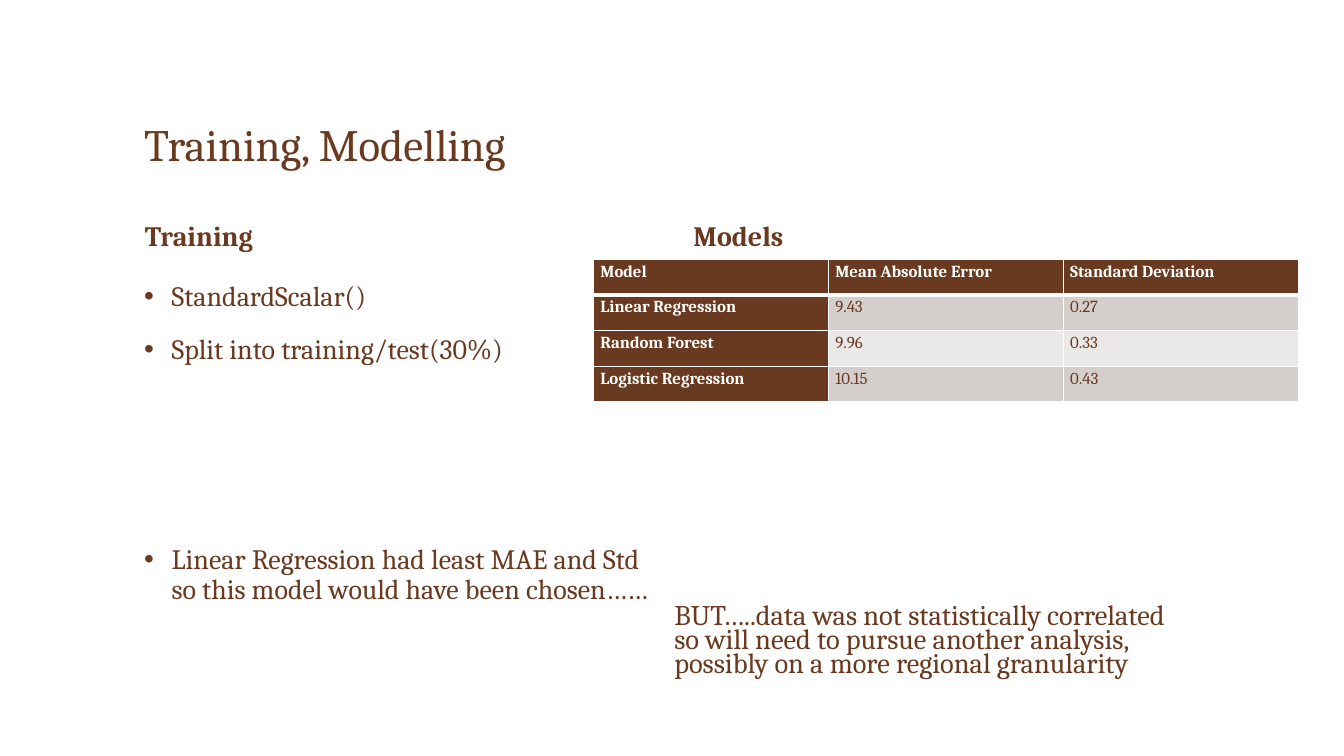
from dataclasses import dataclass

from lxml import etree
from pptx import Presentation
from pptx.dml.color import RGBColor
from pptx.enum.text import MSO_ANCHOR, MSO_AUTO_SIZE, PP_ALIGN
from pptx.oxml.ns import qn
from pptx.slide import Slide
from pptx.table import _Cell
from pptx.text.text import _Paragraph
from pptx.util import Cm, Pt

TOP, MIDDLE, BOTTOM = MSO_ANCHOR.TOP, MSO_ANCHOR.MIDDLE, MSO_ANCHOR.BOTTOM
NO_AUTOFIT = MSO_AUTO_SIZE.NONE
LEFT = PP_ALIGN.LEFT

BROWN = RGBColor(0x6A, 0x3A, 0x20)
WHITE = RGBColor(0xFF, 0xFF, 0xFF)
DARK_BAND = RGBColor(0xD4, 0xCE, 0xCD)
LIGHT_BAND = RGBColor(0xEB, 0xE8, 0xE8)

FONT = "Cambria"
COMPARISON_LAYOUT = 4
BULLET_INDENT = Cm(0.69)
COLUMN_WIDTH = 13.26
TABLE_COLUMN_WIDTH = Cm(5.92)
TABLE_ROW_HEIGHT = Cm(0.9)
CELL_MARGIN = Cm(0.17)


@dataclass(frozen=True)
class Line:
    text: str
    space_before: float = 0


@dataclass(frozen=True)
class Block:
    placeholder: int
    left: float
    top: float
    width: float
    height: float
    lines: tuple[Line, ...]
    size: float = 20
    bold: bool = False
    anchor: MSO_ANCHOR = TOP
    line_spacing: float = 0.9
    bulleted: bool = False


BLOCKS = (
    Block(0, 3.38, 1.19, 27.08, 3.25, (Line("Training, Modelling"),),
          size=32, anchor=BOTTOM),
    Block(1, 3.4, 5, COLUMN_WIDTH, 1.98, (Line("Training"),),
          bold=True, anchor=MIDDLE),
    Block(2, 3.38, 6.99, COLUMN_WIDTH, 9.88, (
        Line("StandardScalar()", 16),
        Line("Split into training/test(30%)", 16),
        Line("Linear Regression had least MAE and Std so this model "
             "would have been chosen……", 128.5),
    ), bulleted=True),
    Block(3, 17.22, 5, COLUMN_WIDTH, 1.98, (Line("Models"),),
          bold=True, anchor=MIDDLE),
    Block(4, 16.74, 15.16, COLUMN_WIDTH, 2.69, (
        Line("BUT…..data was not statistically correlated so will need to pursue "
             "another analysis, possibly on a more regional granularity", 16),
    ), size=20.3, line_spacing=0.7),
)

MODEL_ROWS = (
    ("Model", "Mean Absolute Error", "Standard Deviation"),
    ("Linear Regression", "9.43", "0.27"),
    ("Random Forest", "9.96", "0.33"),
    ("Logistic Regression", "10.15", "0.43"),
)


def format_font(paragraph: _Paragraph, size: float, color: RGBColor, bold: bool) -> None:
    """Set the font of a whole paragraph."""
    font = paragraph.font
    font.name = FONT
    font.size = Pt(size)
    font.bold = bold
    font.color.rgb = color


def set_bullet(paragraph: _Paragraph, bulleted: bool) -> None:
    """Give the paragraph a hanging bullet, or none."""
    properties = paragraph._p.get_or_add_pPr()
    indent = BULLET_INDENT if bulleted else 0
    properties.set("marL", str(indent))
    properties.set("indent", str(-indent))
    if bulleted:
        etree.SubElement(properties, qn("a:buChar")).set("char", "•")
    else:
        etree.SubElement(properties, qn("a:buNone"))


def fill_block(slide: Slide, block: Block) -> None:
    """Move a placeholder into place and write its lines."""
    shape = next(placeholder for placeholder in slide.placeholders
                 if placeholder.placeholder_format.idx == block.placeholder)
    shape.left, shape.top = Cm(block.left), Cm(block.top)
    shape.width, shape.height = Cm(block.width), Cm(block.height)
    frame = shape.text_frame
    frame.text = "\n".join(line.text for line in block.lines)
    frame.word_wrap = True
    frame.auto_size = NO_AUTOFIT
    frame.vertical_anchor = block.anchor
    for paragraph, line in zip(frame.paragraphs, block.lines):
        set_bullet(paragraph, block.bulleted)
        paragraph.alignment = LEFT
        paragraph.line_spacing = block.line_spacing
        paragraph.space_before = Pt(line.space_before)
        format_font(paragraph, block.size, BROWN, block.bold)


def set_borders(cell: _Cell, widths: dict[str, float]) -> None:
    """Draw white borders of the given widths around a cell."""
    properties = cell._tc.get_or_add_tcPr()
    for position, (side, width) in enumerate(widths.items()):
        border = etree.Element(qn(f"a:{side}"), w=str(Pt(width)))
        fill = etree.SubElement(border, qn("a:solidFill"))
        etree.SubElement(fill, qn("a:srgbClr"), val=str(WHITE))
        properties.insert(position, border)


def add_model_table(slide: Slide) -> None:
    """Add the table of model errors."""
    row_count, column_count = len(MODEL_ROWS), len(MODEL_ROWS[0])
    table = slide.shapes.add_table(
        row_count, column_count, Cm(14.96), Cm(6.53),
        TABLE_COLUMN_WIDTH * column_count, TABLE_ROW_HEIGHT * row_count).table
    for row_index, row in enumerate(MODEL_ROWS):
        for column_index, text in enumerate(row):
            cell = table.cell(row_index, column_index)
            is_header = row_index == 0 or column_index == 0
            band = DARK_BAND if row_index % 2 else LIGHT_BAND
            cell.text = text
            cell.margin_left = cell.margin_right = CELL_MARGIN
            cell.margin_top = cell.margin_bottom = 0
            cell.fill.solid()
            cell.fill.fore_color.rgb = BROWN if is_header else band
            set_borders(cell, {"lnL": 1, "lnR": 1,
                               "lnT": 3 if row_index == 1 else 1,
                               "lnB": 3 if row_index == 0 else 1})
            paragraph = cell.text_frame.paragraphs[0]
            paragraph.line_spacing = 1.15
            format_font(paragraph, 12, WHITE if is_header else BROWN, is_header)


def main() -> None:
    """Build the slide and save it."""
    presentation = Presentation()
    presentation.slide_width, presentation.slide_height = Cm(33.87), Cm(19.05)
    slide = presentation.slides.add_slide(presentation.slide_layouts[COMPARISON_LAYOUT])
    for block in BLOCKS:
        fill_block(slide, block)
    add_model_table(slide)
    presentation.save("out.pptx")


if __name__ == "__main__":
    main()
